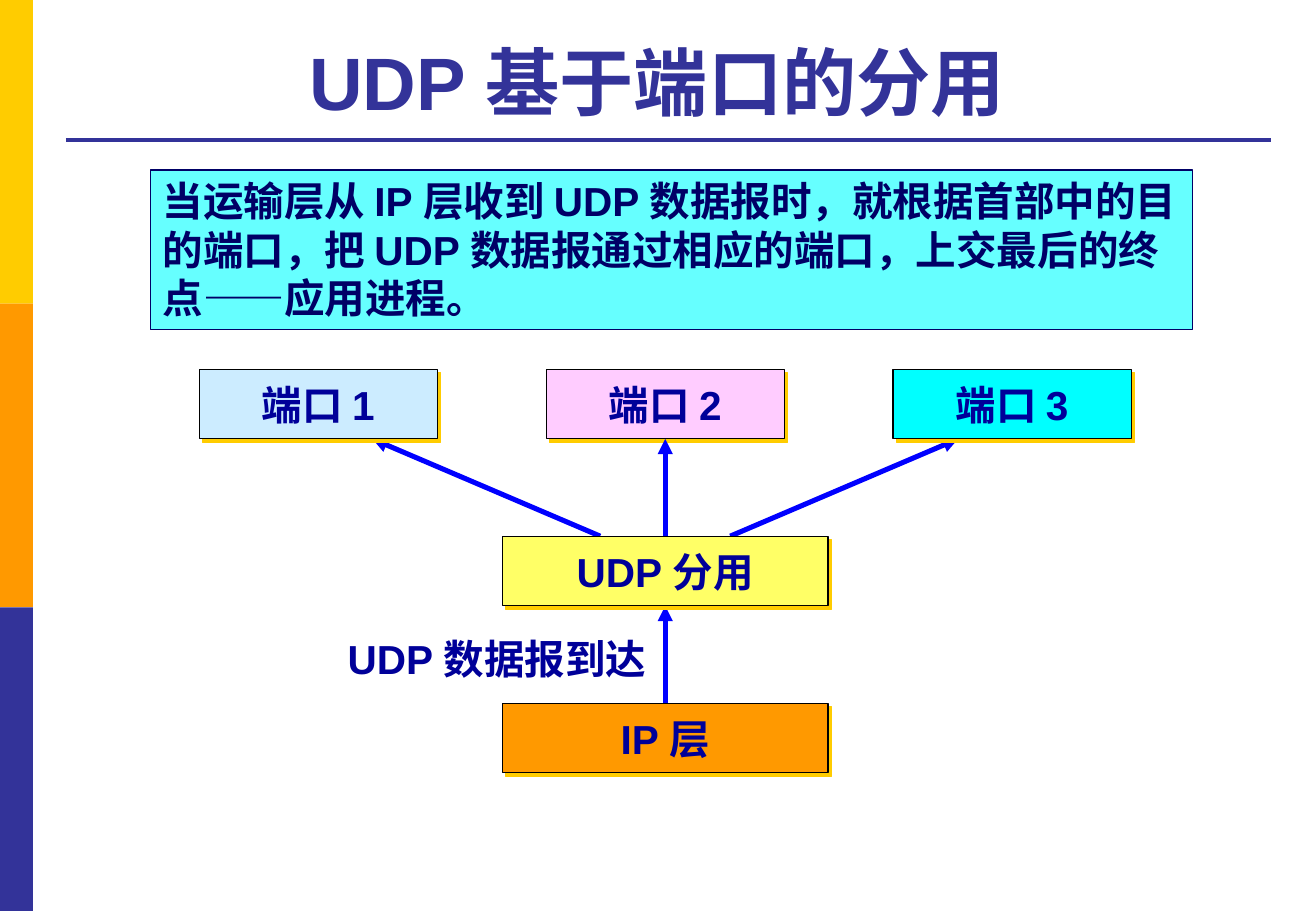
from dataclasses import dataclass

from lxml import etree
from pptx import Presentation
from pptx.dml.color import RGBColor
from pptx.enum.shapes import MSO_CONNECTOR, MSO_SHAPE
from pptx.enum.text import MSO_ANCHOR, PP_ALIGN
from pptx.oxml.ns import qn
from pptx.shapes.autoshape import Shape
from pptx.shapes.connector import Connector
from pptx.slide import Slide
from pptx.util import Inches, Pt

STRAIGHT = MSO_CONNECTOR.STRAIGHT
RECTANGLE = MSO_SHAPE.RECTANGLE
TOP, MIDDLE, BOTTOM = MSO_ANCHOR.TOP, MSO_ANCHOR.MIDDLE, MSO_ANCHOR.BOTTOM
LEFT, CENTER = PP_ALIGN.LEFT, PP_ALIGN.CENTER
TOP_SIDE, BOTTOM_SIDE = 0, 2

SLIDE_WIDTH, SLIDE_HEIGHT = Inches(10.83), Inches(7.5)
AXIS = 50.55
PORT_PITCH, PORT_WIDTH, LAYER_WIDTH = 26.36, 18.1, 24.75
FIRST_ROW, ROW_PITCH, NODE_HEIGHT = 40.53, 18.33, 7.65
FAN_START, FAN_END = 4.94, 22.25

FONT = "Arial"
INDIGO, AMBER, GOLD = "333399", "FF9900", "FFCC00"
NAVY, BLUE, BLACK = "000099", "0000FF", "000000"


@dataclass(frozen=True)
class Area:
    left: float
    top: float
    width: float
    height: float


@dataclass(frozen=True)
class Node:
    label: str
    fill: str
    column: int
    row: int
    width: float

    @property
    def area(self) -> Area:
        center = AXIS + self.column * PORT_PITCH
        return Area(center - self.width / 2, row_top(self.row), self.width, NODE_HEIGHT)


@dataclass(frozen=True)
class Arrow:
    start_offset: float
    end_offset: float
    from_row: int


IP_LAYER = Node("IP 层", AMBER, 0, 2, LAYER_WIDTH)
DEMULTIPLEXER = Node("UDP 分用", "FFFF66", 0, 1, LAYER_WIDTH)
PORT_1 = Node("端口 1", "CCECFF", -1, 0, PORT_WIDTH)
PORT_2 = Node("端口 2", "FFCCFF", 0, 0, PORT_WIDTH)
PORT_3 = Node("端口 3", "00FFFF", 1, 0, PORT_WIDTH)

ARRIVAL = Arrow(0, 0, 2)
TO_PORT_2 = Arrow(0, 0, 1)
TO_PORT_3 = Arrow(FAN_START, FAN_END, 1)
TO_PORT_1 = Arrow(-FAN_START, -FAN_END, 1)


def row_top(row: int) -> float:
    return FIRST_ROW + row * ROW_PITCH


def across(percent: float) -> int:
    return round(SLIDE_WIDTH * percent / 100)


def down(percent: float) -> int:
    return round(SLIDE_HEIGHT * percent / 100)


def frame(area: Area) -> tuple[int, int, int, int]:
    return across(area.left), down(area.top), across(area.width), down(area.height)


def color(value: str) -> RGBColor:
    return RGBColor.from_string(value)


def write(box: Shape, text: str, ink: str, size: float = 24, align: PP_ALIGN = LEFT,
          anchor: MSO_ANCHOR = TOP, wrap: bool = True) -> None:
    text_frame = box.text_frame
    text_frame.text = text
    text_frame.word_wrap = wrap
    text_frame.vertical_anchor = anchor
    paragraph = text_frame.paragraphs[0]
    paragraph.alignment = align
    font = paragraph.runs[0].font
    font.name, font.size, font.bold = FONT, Pt(size), True
    font.color.rgb = color(ink)


def add_rectangle(slide: Slide, area: Area, fill: str, outline: str = "") -> Shape:
    rectangle = slide.shapes.add_shape(RECTANGLE, *frame(area))
    rectangle.shadow.inherit = False
    rectangle.fill.solid()
    rectangle.fill.fore_color.rgb = color(fill)
    if outline:
        rectangle.line.color.rgb = color(outline)
        rectangle.line.width = Pt(0.75)
    else:
        rectangle.line.fill.background()
    return rectangle


def add_node(slide: Slide, node: Node) -> Shape:
    box = add_rectangle(slide, node.area, node.fill, BLACK)
    effects = box.element.spPr.find(qn("a:effectLst"))
    shadow = etree.SubElement(effects, qn("a:outerShdw"), dist=str(Pt(2.8)),
                              dir=str(45 * 60000), algn="ctr", rotWithShape="0")
    etree.SubElement(shadow, qn("a:srgbClr"), val=GOLD)
    write(box, node.label, NAVY, align=CENTER, anchor=MIDDLE, wrap=False)
    return box


def add_line(slide: Slide, start: tuple[float, float], end: tuple[float, float],
             ink: str, width: float, arrowhead: bool = False) -> Connector:
    line = slide.shapes.add_connector(
        STRAIGHT, across(start[0]), down(start[1]), across(end[0]), down(end[1]))
    line.line.color.rgb = color(ink)
    line.line.width = Pt(width)
    properties = line.element.spPr
    if arrowhead:
        etree.SubElement(properties.find(qn("a:ln")), qn("a:tailEnd"), type="triangle")
    etree.SubElement(properties, qn("a:effectLst"))
    return line


def add_arrow(slide: Slide, arrow: Arrow) -> Connector:
    start = (AXIS + arrow.start_offset, row_top(arrow.from_row))
    end = (AXIS + arrow.end_offset, row_top(arrow.from_row - 1) + NODE_HEIGHT)
    return add_line(slide, start, end, BLUE, 3, arrowhead=True)


def add_heading(slide: Slide) -> None:
    for band, fill in enumerate((GOLD, AMBER, INDIGO)):
        add_rectangle(slide, Area(0, band * 100 / 3, 2.5, 100 / 3), fill)
    add_line(slide, (5, 15.33), (96.6, 15.33), INDIGO, 2.25)
    title = slide.shapes.add_textbox(*frame(Area(5, 2.8, 91.5, 11.6)))
    write(title, "UDP 基于端口的分用", INDIGO, 44, CENTER, BOTTOM)
    title.text_frame.margin_right = across(2.5)


def add_diagram(slide: Slide) -> None:
    boxes = {IP_LAYER: add_node(slide, IP_LAYER)}
    arrival_label = slide.shapes.add_textbox(*frame(Area(25.5, 68.9, 24.8, 6.8)))
    write(arrival_label, "UDP 数据报到达", NAVY)
    boxes[PORT_2] = add_node(slide, PORT_2)
    arrows = {arrow: add_arrow(slide, arrow)
              for arrow in (ARRIVAL, TO_PORT_2, TO_PORT_3, TO_PORT_1)}
    for node in (PORT_3, PORT_1, DEMULTIPLEXER):
        boxes[node] = add_node(slide, node)
    for arrow, source, target in ((ARRIVAL, IP_LAYER, DEMULTIPLEXER),
                                  (TO_PORT_2, DEMULTIPLEXER, PORT_2)):
        arrows[arrow].begin_connect(boxes[source], TOP_SIDE)
        arrows[arrow].end_connect(boxes[target], BOTTOM_SIDE)


def add_explanation(slide: Slide) -> None:
    explanation = add_rectangle(slide, Area(11.45, 18.67, 79.2, 17.47), "66FFFF", "000066")
    write(explanation, "当运输层从 IP 层收到 UDP 数据报时，就根据首部中的目的端口，"
          "把 UDP 数据报通过相应的端口，上交最后的终点——应用进程。", "000066")


def main() -> None:
    presentation = Presentation()
    presentation.slide_width, presentation.slide_height = SLIDE_WIDTH, SLIDE_HEIGHT
    slide = presentation.slides.add_slide(presentation.slide_layouts[6])
    add_heading(slide)
    add_diagram(slide)
    add_explanation(slide)
    presentation.save("out.pptx")


if __name__ == "__main__":
    main()
